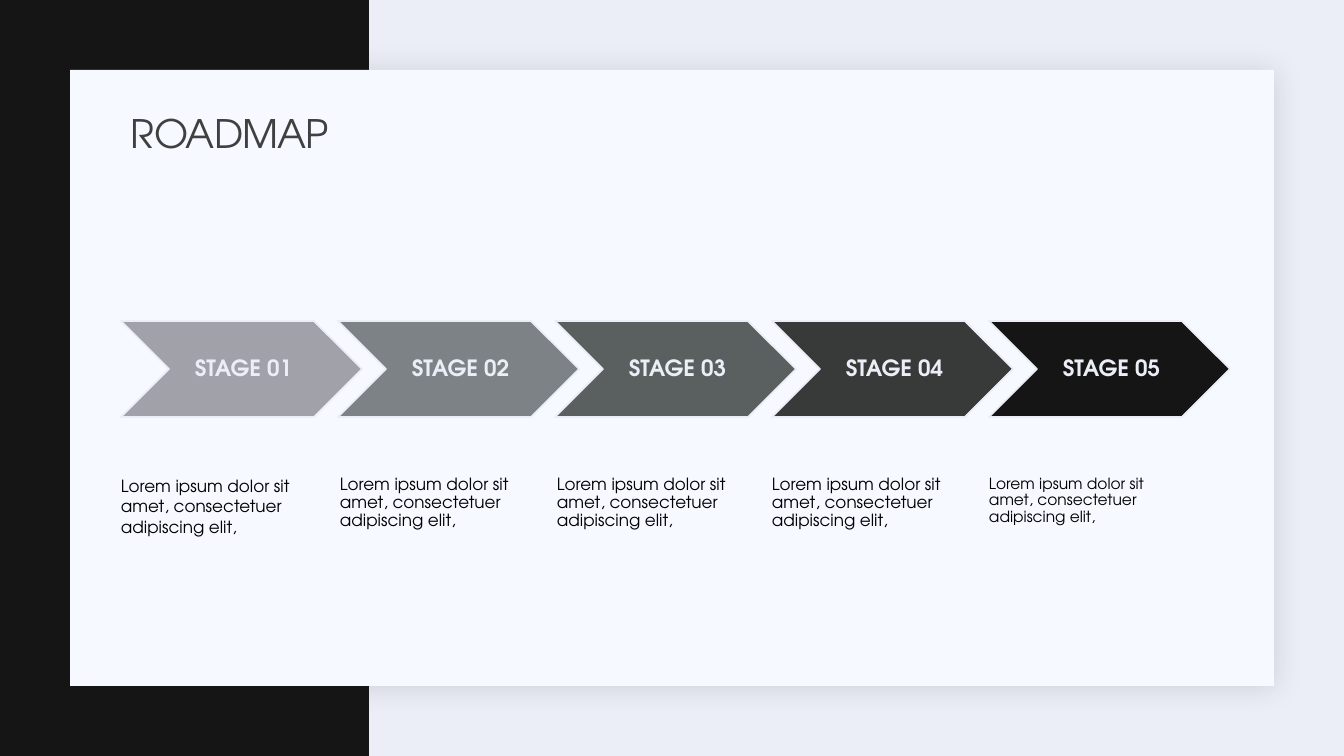
from lxml import etree
from pptx import Presentation
from pptx.dml.color import RGBColor
from pptx.enum.shapes import MSO_SHAPE
from pptx.enum.text import MSO_ANCHOR, PP_ALIGN
from pptx.oxml.ns import qn
from pptx.util import Emu, Pt

RECTANGLE, CHEVRON = MSO_SHAPE.RECTANGLE, MSO_SHAPE.CHEVRON
TOP, MIDDLE = MSO_ANCHOR.TOP, MSO_ANCHOR.MIDDLE
LEFT, CENTER = PP_ALIGN.LEFT, PP_ALIGN.CENTER
EMU_PER_PX = 914400 / 100.8
FONT = "TeX Gyre Adventor"
PALE, INK = "ECEEF7", "141514"
STAGE_LEFT, STAGE_PITCH = 121, 217
CAPTION = "Lorem ipsum dolor sit amet, consectetuer adipiscing elit,"
STAGES = [
    ("STAGE 01", "A1A2A9", dict(size=12, insets=(0, 47, 20, 0))),
    ("STAGE 02", "7C8286", dict(size=12, insets=(2, 47, 0, 0), line_spacing=0.9)),
    ("STAGE 03", "5A6060", dict(size=12, insets=(2, 47, 20, 0), line_spacing=0.9)),
    ("STAGE 04", "373A39", dict(size=12, insets=(0, 47, 20, 0), line_spacing=0.9)),
    ("STAGE 05", INK, dict(size=11, insets=(0, 47, 0, 0), line_spacing=0.9)),
]


def px(length):
    """Turn pixels into EMU."""
    return Emu(round(length * EMU_PER_PX))


def paint(color_format, hex_color):
    """Give a fill or font colour its hex value."""
    color_format.rgb = RGBColor.from_string(hex_color)


def add_block(slide, kind, box, fill, outline=None):
    """Add a filled preset shape, outlined on request."""
    block = slide.shapes.add_shape(kind, *map(px, box))
    block.shadow.inherit = False
    block.fill.solid()
    paint(block.fill.fore_color, fill)
    if outline:
        paint(block.line.color, outline)
        block.line.width = Pt(1.25)
    else:
        block.line.fill.background()
    return block


def add_soft_shadow(block, hex_color, alpha, blur, distance, degrees):
    """Cast a blurred outer shadow, with lengths in points."""
    effects = block._element.spPr.find(qn("a:effectLst"))
    shadow = etree.SubElement(
        effects, qn("a:outerShdw"), blurRad=str(Pt(blur)), dist=str(Pt(distance)),
        dir=str(degrees * 60000), algn="tl", rotWithShape="0")
    color = etree.SubElement(shadow, qn("a:srgbClr"), val=hex_color)
    etree.SubElement(color, qn("a:alpha"), val=str(alpha * 1000))


def add_text(slide, text, box, size, color="000000", bold=False, align=LEFT,
             anchor=TOP, insets=(10, 5, 10, 5), line_spacing=1.0, tracking=0):
    """Add a wrapped text box with one formatted paragraph."""
    frame = slide.shapes.add_textbox(*map(px, box)).text_frame
    frame.word_wrap = True
    frame.vertical_anchor = anchor
    (frame.margin_left, frame.margin_top,
     frame.margin_right, frame.margin_bottom) = map(px, insets)
    paragraph = frame.paragraphs[0]
    paragraph.alignment = align
    paragraph.line_spacing = line_spacing
    run = paragraph.add_run()
    run.text = text
    run.font.name = FONT
    run.font.size = Pt(size)
    run.font.bold = bold
    paint(run.font.color, color)
    if tracking:
        run.font._element.set("spc", str(round(tracking * 100)))


def add_stage(slide, left, label, fill, caption_format):
    """Add one roadmap stage: chevron, label and caption."""
    add_block(slide, CHEVRON, (left, 321, 241, 96), fill, outline=PALE)
    add_text(slide, label, (left + 48, 321, 144, 96), size=16, color=PALE,
             bold=True, align=CENTER, anchor=MIDDLE, insets=(7, 2, 2, 2),
             line_spacing=0.9)
    add_text(slide, CAPTION, (left, 429, 193, 129), **caption_format)


def main():
    """Build the roadmap slide."""
    deck = Presentation()
    deck.slide_width, deck.slide_height = px(1344), px(756)
    slide = deck.slides.add_slide(deck.slide_layouts[6])
    slide.background.fill.solid()
    paint(slide.background.fill.fore_color, PALE)

    add_block(slide, RECTANGLE, (0, 0, 369, 756), INK)
    panel = add_block(slide, RECTANGLE, (70, 70, 1204, 616), "F6F9FF")
    add_soft_shadow(panel, "1F2125", alpha=15, blur=20, distance=2, degrees=45)
    for index, stage in enumerate(STAGES):
        add_stage(slide, STAGE_LEFT + index * STAGE_PITCH, *stage)
    add_text(slide, "ROADMAP", (121, 104, 1109, 64), size=28, color="404040",
             anchor=MIDDLE, line_spacing=0.9, tracking=-0.5)
    deck.save("out.pptx")


if __name__ == "__main__":
    main()
